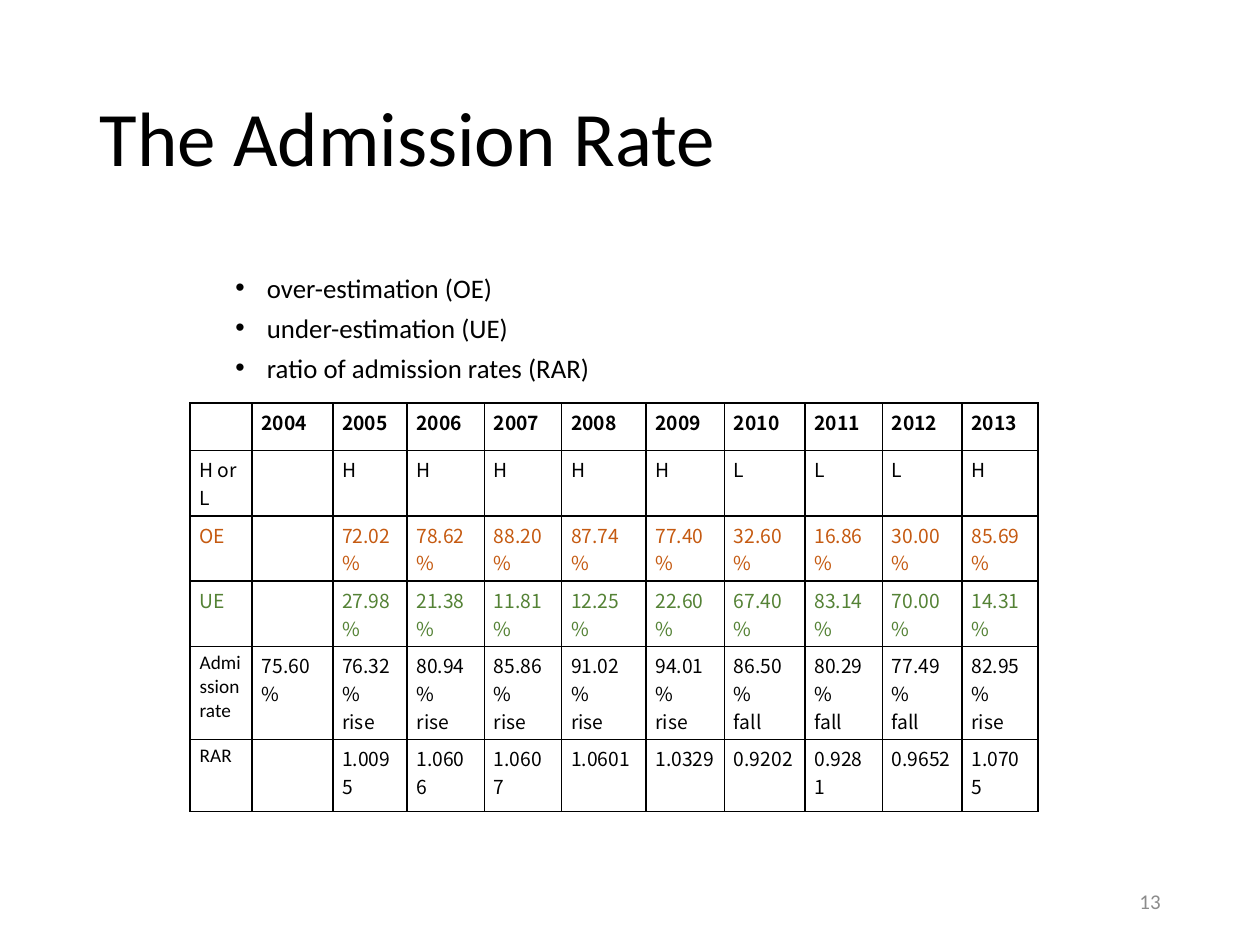
import dataclasses

import pptx
import pptx.dml.color
import pptx.enum.text
import pptx.oxml
import pptx.oxml.ns
import pptx.util
import lxml.etree

ALIGN = pptx.enum.text.PP_ALIGN
ANCHOR = pptx.enum.text.MSO_ANCHOR


@dataclasses.dataclass(frozen=True)
class Theme:
    ink: str = "000000"
    muted: str = "8C8C8C"
    over: str = "C55A11"
    under: str = "548235"
    text_font: str = "Calibri"
    table_font: str = "Noto Sans CJK SC"
    title_size: float = 44
    bullet_size: float = 15.3
    number_size: float = 12
    table_size: float = 11
    border: float = 1


class SlideBuilder:
    """Places elements on a grid of 100 columns by 75 rows."""

    columns, rows = 100, 75

    def __init__(self, deck, theme):
        self.deck = deck
        self.theme = theme
        self.page = deck.slides.add_slide(deck.slide_layouts[5])

    def across(self, count):
        return round(self.deck.slide_width * count / self.columns)

    def down(self, count):
        return round(self.deck.slide_height * count / self.rows)

    def area(self, left, top, width, height):
        return self.across(left), self.down(top), self.across(width), self.down(height)

    def style(self, frame, size, color, font=None, bold=False):
        for para in frame.paragraphs:
            for span in para.runs:
                span.font.name = font or self.theme.text_font
                span.font.size = pptx.util.Pt(size)
                span.font.bold = bold
                span.font.color.rgb = pptx.dml.color.RGBColor.from_string(color)

    def title(self, text, area):
        box = self.page.shapes.title
        box.left, box.top, box.width, box.height = self.area(*area)
        frame = box.text_frame
        frame.text = text
        frame.vertical_anchor = ANCHOR.MIDDLE
        frame.paragraphs[0].alignment = ALIGN.LEFT
        frame.paragraphs[0].line_spacing = 0.9
        self.style(frame, self.theme.title_size, self.theme.ink)

    def text_box(self, text, area, size, color):
        frame = self.page.shapes.add_textbox(*self.area(*area)).text_frame
        frame.word_wrap = True
        frame.text = text
        self.style(frame, size, color)
        return frame

    def bullets(self, items, area):
        frame = self.text_box("\n".join(items), area, self.theme.bullet_size, self.theme.ink)
        indent = self.across(2.5)
        for index, para in enumerate(frame.paragraphs):
            para.line_spacing = 0.7
            para.space_before = pptx.util.Pt(10 if index else 0)
            properties = para._p.get_or_add_pPr()
            properties.set("marL", str(indent))
            properties.set("indent", str(-indent))
            for tag, name, value in (("a:buFont", "typeface", "Arial"), ("a:buChar", "char", "•")):
                bullet = lxml.etree.SubElement(properties, pptx.oxml.ns.qn(tag))
                bullet.set(name, value)

    def page_number(self, text, area):
        frame = self.text_box(text, area, self.theme.number_size, self.theme.muted)
        frame.vertical_anchor = ANCHOR.MIDDLE
        frame.paragraphs[0].alignment = ALIGN.RIGHT

    def border(self, cell):
        properties = cell._tc.get_or_add_tcPr()
        width = pptx.util.Pt(self.theme.border)
        for side in "LRTB":
            properties.append(pptx.oxml.parse_xml(
                f'<a:ln{side} {pptx.oxml.ns.nsdecls("a")} w="{width}"><a:solidFill>'
                f'<a:srgbClr val="{self.theme.ink}"/></a:solidFill></a:ln{side}>'))

    def table(self, data, corner, widths, heights, row_colors, plain_labels):
        area = self.area(*corner, sum(widths), sum(heights))
        table = self.page.shapes.add_table(len(data), len(widths), *area).table
        table.first_row = table.horz_banding = False
        for column, width in zip(table.columns, widths):
            column.width = self.across(width)
        for row, height in zip(table.rows, heights):
            row.height = self.down(height)
        for row_index, values in enumerate(data):
            color = row_colors.get(values[0], self.theme.ink)
            for column_index, value in enumerate(values):
                cell = table.cell(row_index, column_index)
                cell.margin_left = cell.margin_right = self.across(0.75)
                cell.margin_top = cell.margin_bottom = self.down(0.38)
                self.border(cell)
                cell.fill.background()
                cell.text_frame.text = value
                font = self.theme.text_font if value in plain_labels else self.theme.table_font
                self.style(cell.text_frame, self.theme.table_size, color, font, row_index == 0)


def main():
    deck = pptx.Presentation()
    deck.slide_width, deck.slide_height = pptx.util.Inches(10), pptx.util.Inches(7.5)
    theme = Theme()
    slide = SlideBuilder(deck, theme)

    # Heading and definitions
    slide.title("The Admission Rate", (6.9, 4, 86.2, 14.5))
    slide.bullets(["over-estimation (OE)", "under-estimation (UE)",
                   "ratio of admission rates (RAR)"], (17.7, 21.8, 63.8, 9.3))

    # Yearly results
    rates = ["76.32%", "80.94%", "85.86%", "91.02%", "94.01%",
             "86.50%", "80.29%", "77.49%", "82.95%"]
    trends = {"H": "rise", "L": "fall"}
    levels = list("HHHHHLLLH")
    data = [
        ["", *map(str, range(2004, 2014))],
        ["H or L", "", *levels],
        ["OE", "", "72.02%", "78.62%", "88.20%", "87.74%", "77.40%",
         "32.60%", "16.86%", "30.00%", "85.69%"],
        ["UE", "", "27.98%", "21.38%", "11.81%", "12.25%", "22.60%",
         "67.40%", "83.14%", "70.00%", "14.31%"],
        ["Admission rate", "75.60%",
         *(f"{rate}\n{trends[level]}" for rate, level in zip(rates, levels))],
        ["RAR", "", "1.0095", "1.0606", "1.0607", "1.0601", "1.0329",
         "0.9202", "0.9281", "0.9652", "1.0705"],
    ]
    slide.table(data, corner=(15.1, 32),
                widths=[4.92, 6.4, 5.9, 6.13, 6.13, 6.7, 6.23, 6.4, 6.13, 6.33, 6.03],
                heights=[3.74, 5.18, 5.18, 5.18, 7.4, 5.7],
                row_colors={"OE": theme.over, "UE": theme.under},
                plain_labels=("Admission rate", "RAR"))

    # Footer
    slide.page_number("13", (70.6, 69.5, 22.5, 4))
    deck.save("out.pptx")


if __name__ == "__main__":
    main()
